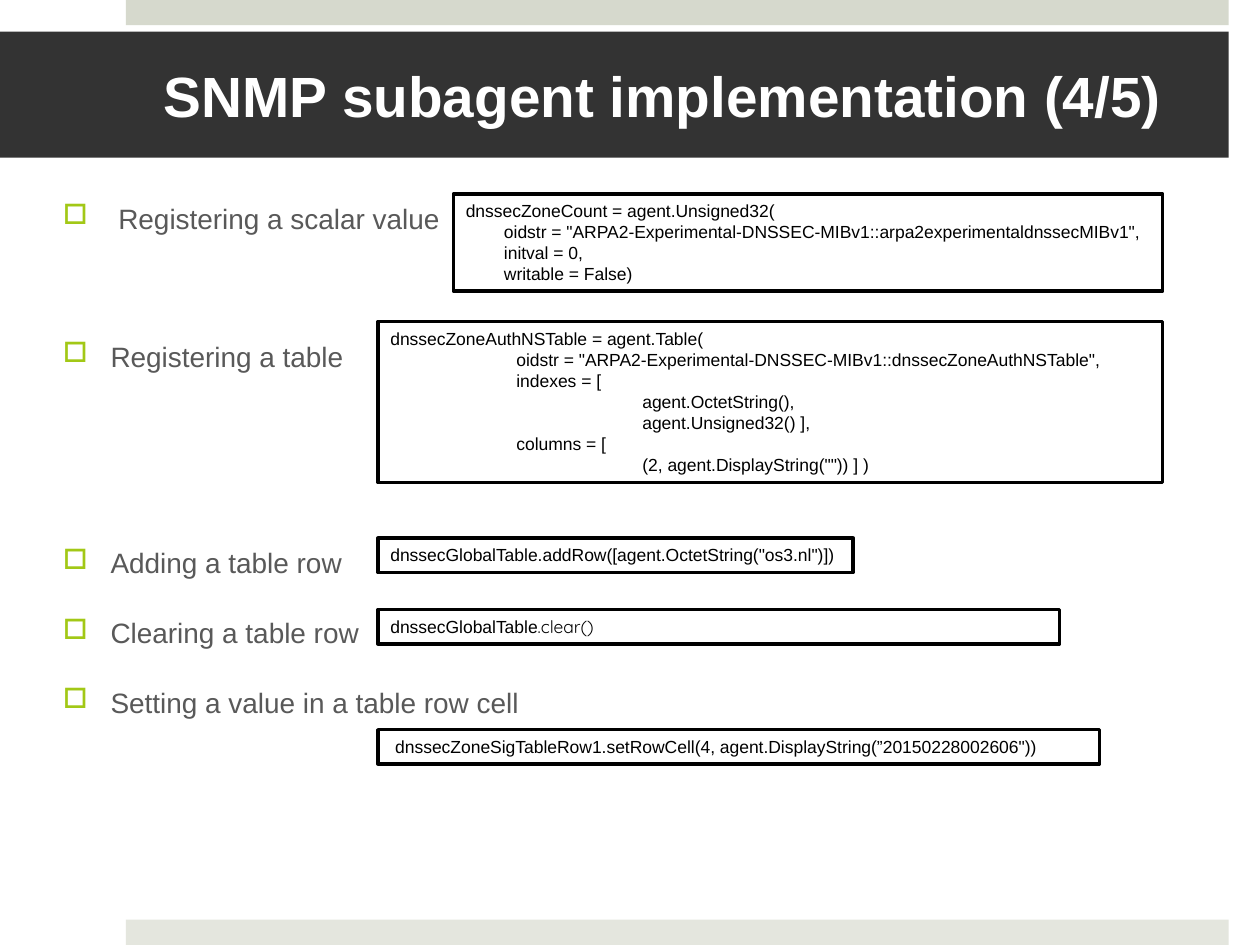
import pptx
import pptx.dml.color
import pptx.enum.shapes
import pptx.enum.text
import pptx.oxml
import pptx.oxml.ns
import pptx.util
from lxml import etree
from pptx.util import Cm

RGBColor = pptx.dml.color.RGBColor
TOP_BAR = RGBColor(0xD6, 0xD9, 0xCD)
BOTTOM_BAR = RGBColor(0xE4, 0xE6, 0xDE)
TITLE_FILL = RGBColor(0x33, 0x33, 0x33)
BODY_TEXT = RGBColor(0x59, 0x59, 0x59)
WHITE = RGBColor(0xFF, 0xFF, 0xFF)
BLACK = RGBColor(0, 0, 0)
BULLET_COLOR = "A2C816"


def add_rectangle(left, top, width, height, fill):
    shape = slide.shapes.add_shape(
        pptx.enum.shapes.MSO_SHAPE.RECTANGLE, Cm(left), Cm(top), Cm(width), Cm(height))
    shape.shadow.inherit = False
    shape.fill.solid()
    shape.fill.fore_color.rgb = fill
    shape.line.fill.background()
    return shape


def style_paragraph(paragraph, size, color, margin=0, indent=0):
    paragraph.alignment = pptx.enum.text.PP_ALIGN.LEFT
    paragraph.font.name = "Arial"
    paragraph.font.size = pptx.util.Pt(size)
    paragraph.font.color.rgb = color
    properties = paragraph._p.get_or_add_pPr()
    properties.set("marL", str(Cm(margin)))
    properties.set("indent", str(Cm(indent)))
    return properties


presentation = pptx.Presentation()
presentation.slide_width = Cm(25.4)
presentation.slide_height = Cm(19.05)
slide = presentation.slides.add_slide(presentation.slide_layouts[5])

add_rectangle(2.54, 0, 22.23, 0.51, TOP_BAR)
add_rectangle(2.54, 18.54, 22.23, 0.51, BOTTOM_BAR)

title = slide.shapes.title
title.left, title.top, title.width, title.height = Cm(0), Cm(0.64), Cm(24.77), Cm(2.54)
title.fill.solid()
title.fill.fore_color.rgb = TITLE_FILL
title_frame = title.text_frame
title_frame.text = "SNMP subagent implementation (4/5)"
title_frame.auto_size = pptx.enum.text.MSO_AUTO_SIZE.NONE
title_frame.vertical_anchor = pptx.enum.text.MSO_ANCHOR.MIDDLE
title_frame.margin_left, title_frame.margin_right = Cm(3.3), Cm(0.76)
style_paragraph(title_frame.paragraphs[0], 32.4, WHITE)
title_frame.paragraphs[0].font.bold = True

LINE_PITCH = 39.1
LINE_HEIGHT = 18.4
steps = [
    (" Registering a scalar value", 0),
    ("Registering a table", 2),
    ("Adding a table row", 3),
    ("Clearing a table row", 1),
    ("Setting a value in a table row cell", 1),
]
body = slide.shapes.add_textbox(Cm(1.02), Cm(3.93), Cm(22.43), Cm(13.67))
body.text_frame.word_wrap = True
for index, (text, lines_down) in enumerate(steps):
    paragraph = body.text_frame.paragraphs[0] if index == 0 else body.text_frame.add_paragraph()
    paragraph.text = text
    properties = style_paragraph(paragraph, 16, BODY_TEXT, 0.96, -0.96)
    paragraph.space_before = pptx.util.Pt(max(0, lines_down * LINE_PITCH - LINE_HEIGHT))
    bullet_color = etree.SubElement(properties, pptx.oxml.ns.qn("a:buClr"))
    etree.SubElement(bullet_color, pptx.oxml.ns.qn("a:srgbClr"), val=BULLET_COLOR)
    etree.SubElement(properties, pptx.oxml.ns.qn("a:buChar"), char="□")

code_boxes = [
    (9.14, 3.91, 14.3, 1.96, 0.77, [
        (0, "dnssecZoneCount = agent.Unsigned32("),
        (1, 'oidstr = "ARPA2-Experimental-DNSSEC-MIBv1::arpa2experimentaldnssecMIBv1",'),
        (1, "initval = 0,"),
        (1, "writable = False)"),
    ]),
    (7.62, 6.48, 15.82, 3.25, 2.54, [
        (0, "dnssecZoneAuthNSTable = agent.Table("),
        (1, 'oidstr = "ARPA2-Experimental-DNSSEC-MIBv1::dnssecZoneAuthNSTable",'),
        (1, "indexes = ["),
        (2, "agent.OctetString(),"),
        (2, "agent.Unsigned32() ],"),
        (1, "columns = ["),
        (2, '(2, agent.DisplayString("")) ] )'),
    ]),
    (7.62, 10.85, 9.58, 0.69, 0, [
        (0, 'dnssecGlobalTable.addRow([agent.OctetString("os3.nl")])')]),
    (7.62, 12.29, 13.74, 0.69, 0, [(0, "dnssecGlobalTable")]),
    (7.62, 14.71, 14.55, 0.69, 0, [
        (0, ' dnssecZoneSigTableRow1.setRowCell(4, agent.DisplayString(”20150228002606"))')]),
]
for left, top, width, height, level_indent, lines in code_boxes:
    box = add_rectangle(left, top, width, height, WHITE)
    box.line.color.rgb = BLACK
    box.line.width = pptx.util.Pt(2)
    frame = box.text_frame
    frame.word_wrap = True
    frame.vertical_anchor = pptx.enum.text.MSO_ANCHOR.TOP
    for index, (level, text) in enumerate(lines):
        paragraph = frame.paragraphs[0] if index == 0 else frame.add_paragraph()
        paragraph.add_run().text = text
        style_paragraph(paragraph, 10, BLACK, level * level_indent)
        if text == "dnssecGlobalTable":
            call = paragraph.add_run()
            call.text = ".clear()"
            call.font.name = "Quicksand"

presentation.save("out.pptx")
